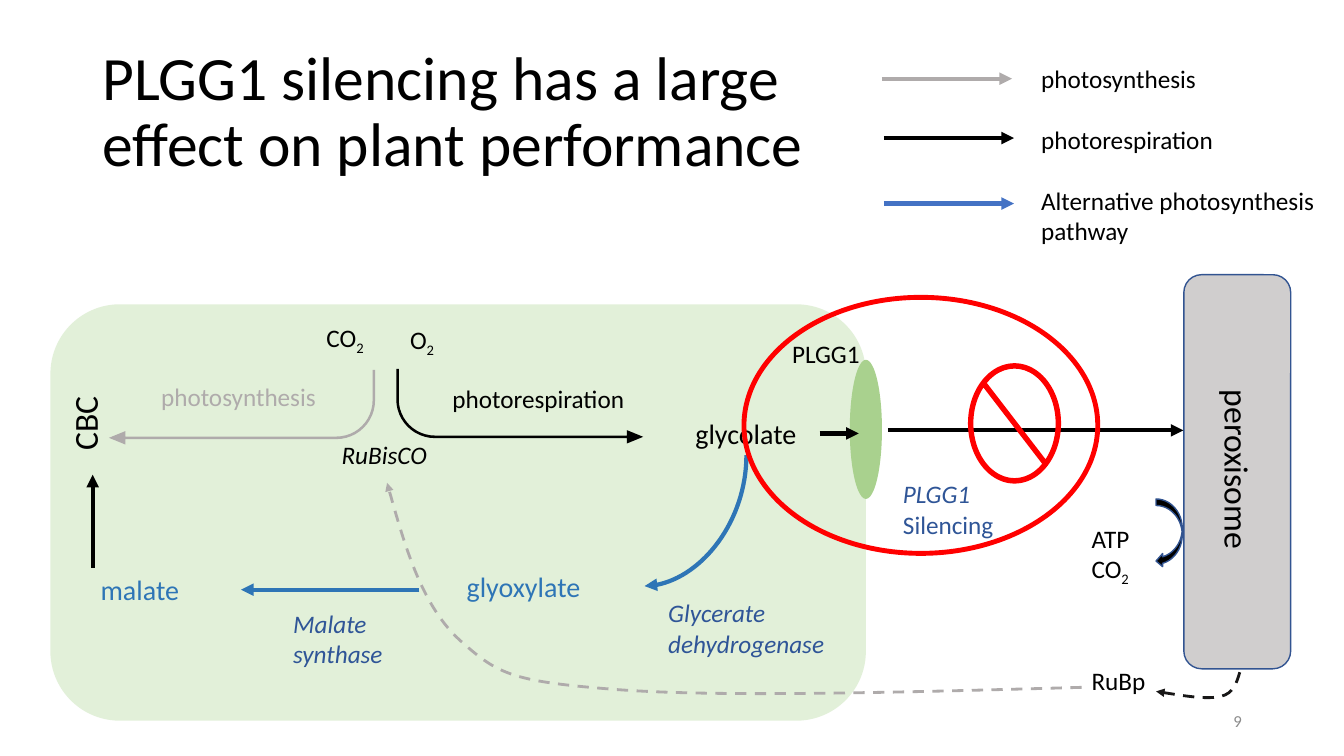
from dataclasses import dataclass

from lxml.etree import SubElement
from pptx import Presentation
from pptx.dml.color import RGBColor
from pptx.enum.dml import MSO_LINE
from pptx.enum.shapes import MSO_CONNECTOR as Connector, MSO_SHAPE as Preset
from pptx.enum.text import MSO_ANCHOR, MSO_AUTO_SIZE, PP_ALIGN
from pptx.oxml.ns import qn
from pptx.util import Pt

BLACK = RGBColor(0x00, 0x00, 0x00)
GRAY = RGBColor(0xAF, 0xAB, 0xAB)
PAGE_GRAY = RGBColor(0x8C, 0x8C, 0x8C)
CHARCOAL = RGBColor(0x18, 0x17, 0x17)
BLUE = RGBColor(0x2E, 0x75, 0xB6)
NAVY = RGBColor(0x2F, 0x55, 0x97)
OUTLINE_BLUE = RGBColor(0x32, 0x54, 0x91)
LEGEND_BLUE = RGBColor(0x44, 0x72, 0xC4)
PALE_GREEN = RGBColor(0xE2, 0xF0, 0xD9)
GREEN = RGBColor(0xA9, 0xD1, 0x8E)
SILVER = RGBColor(0xD0, 0xCE, 0xCE)
RED = RGBColor(0xFF, 0x00, 0x00)

Point = tuple[float, float]
Box = tuple[float, float, float, float]


@dataclass
class Figure:
    preset: Preset
    box: Box
    fill: RGBColor | None = None
    outline: RGBColor | None = None
    outline_width: float = 1
    rotation: float = 0
    adjustments: tuple[float, ...] = ()
    mirrored: bool = False


@dataclass
class Label:
    text: str
    box: Box
    size: float = 18
    color: RGBColor = BLACK
    italic_lines: int = 0
    subscript: str = ""
    rotation: float = 0
    wrap: bool = False


@dataclass
class Arrow:
    start: Point
    end: Point
    color: RGBColor = BLACK


@dataclass
class DashedCurve:
    start: Point
    controls: list[Point]
    color: RGBColor


@dataclass
class LegendRow:
    text: str
    color: RGBColor
    arrow_start: Point
    label_top: float
    label_size: Point


BENT = (0.034, 0.09, 0.22, 0.519)
LEGEND_ARROW_LENGTH = 92.9
LEGEND_LABEL_LEFT = 736.6

COMPARTMENTS = [
    Figure(Preset.ROUNDED_RECTANGLE, (36, 217.4, 582.5, 297.4), PALE_GREEN),
    Figure(Preset.ROUNDED_RECTANGLE, (743, 298.8, 281.5, 76.3), SILVER, OUTLINE_BLUE, rotation=90),
    Figure(Preset.BENT_ARROW, (77.8, 264.2, 190.1, 53.3), GRAY, rotation=180, adjustments=BENT),
    Figure(Preset.BENT_ARROW, (283, 263.5, 176.4, 53.3), BLACK, rotation=180, adjustments=BENT,
           mirrored=True),
    Figure(Preset.OVAL, (568.8, 295.2, 99.4, 23), GREEN, rotation=270),
    Figure(Preset.CURVED_LEFT_ARROW, (825.8, 356.4, 18.7, 49), BLACK, OUTLINE_BLUE),
]

SILENCING_MARKS = [
    Figure(Preset.NO_SYMBOL, (691.9, 259.9, 65.5, 85), RED, RED, adjustments=(0.044,)),
    Figure(Preset.OVAL, (531.4, 212.4, 252.7, 182.9), None, RED, 3.5),
]

LABELS = [
    Label("glyoxylate", (326.2, 403.2, 135.4, 31.7), 20, BLUE, wrap=True),
    Label("malate", (64.8, 405.4, 107.3, 31.7), 20, BLUE, wrap=True),
    Label("glycolate", (489.6, 293.8, 87.1, 31.7), 20),
    Label("PLGG1\nSilencing", (637.9, 338.4, 79.9, 51.1), color=NAVY, italic_lines=1),
    Label("Glycerate\ndehydrogenase", (470.2, 423.4, 127.4, 51.1), color=NAVY, italic_lines=2),
    Label("Malate\nsynthase", (202.3, 430.6, 79.2, 51.1), color=NAVY, italic_lines=2),
    Label("peroxisome", (819.4, 318.2, 129.6, 36), 24, rotation=90),
    Label("CBC", (33.8, 284.4, 53.3, 36), 24, rotation=270),
    Label("photosynthesis", (108, 268.6, 126, 28.8), color=GRAY),
    Label("photorespiration", (316.1, 270, 139, 28.8)),
    Label("CO", (226.1, 226.8, 42.5, 28.8), subscript="2"),
    Label("O", (285.8, 228.2, 32.4, 28.8), subscript="2"),
    Label("RuBisCO", (236.9, 310.3, 76.3, 28.8), italic_lines=1),
    Label("RuBp", (772.6, 471.6, 53.3, 28.8)),
    Label("PLGG1", (558.7, 238.3, 63.4, 28.8)),
    Label("ATP\nCO", (772.6, 370.1, 42.5, 51.1), subscript="2"),
]

ARROWS = [
    Arrow((634.3, 307.4), (845.3, 307.4)),
    Arrow((585.4, 309.6), (613.4, 309.6)),
    Arrow((299.5, 421.2), (172.1, 421.2), BLUE),
    Arrow((66.2, 405.4), (66.2, 339.1)),
]

DASHED_CURVES = [
    DashedCurve((772.6, 491), [
        (643, 494.6), (513.4, 498.2), (439.2, 492.5),
        (365, 486.7), (355.7, 481.7), (328.3, 457.2),
        (301.7, 432.7), (288.7, 388.8), (276.5, 344.9)], GRAY),
    DashedCurve((885.6, 480.2), [
        (883.4, 487.4), (881.3, 495.4), (871.9, 497.5),
        (861.8, 499.7), (843.8, 496.8), (825.8, 493.9)], CHARCOAL),
]

LEGEND = [
    LegendRow("photosynthesis", GRAY, (630, 56.2), 41.8, (126, 28.8)),
    LegendRow("photorespiration", BLACK, (631.4, 98.6), 85, (139, 28.8)),
    LegendRow("Alternative photosynthesis pathway", LEGEND_BLUE, (631.4, 145.4), 128.9,
              (223.2, 51.1)),
]


def draw_figure(slide, figure: Figure) -> None:
    shape = slide.shapes.add_shape(figure.preset, *map(Pt, figure.box))
    shape.shadow.inherit = False
    shape.rotation = figure.rotation
    for index, value in enumerate(figure.adjustments):
        shape.adjustments[index] = value
    if figure.mirrored:
        shape.element.spPr.find(qn("a:xfrm")).set("flipH", "1")
    if figure.fill is None:
        shape.fill.background()
    else:
        shape.fill.solid()
        shape.fill.fore_color.rgb = figure.fill
    if figure.outline is None:
        shape.line.fill.background()
    else:
        shape.line.color.rgb = figure.outline
        shape.line.width = Pt(figure.outline_width)


def draw_label(slide, label: Label):
    shape = slide.shapes.add_textbox(*map(Pt, label.box))
    shape.rotation = label.rotation
    text_frame = shape.text_frame
    text_frame.word_wrap = label.wrap
    text_frame.auto_size = MSO_AUTO_SIZE.SHAPE_TO_FIT_TEXT
    text_frame.text = label.text
    if label.subscript:
        text_frame.paragraphs[-1].add_run().text = label.subscript
    for index, paragraph in enumerate(text_frame.paragraphs):
        for run in paragraph.runs:
            run.font.name = "Calibri"
            run.font.size = Pt(label.size)
            run.font.color.rgb = label.color
            run.font.italic = index < label.italic_lines
    if label.subscript:
        list(shape.element.iter(qn("a:rPr")))[-1].set("baseline", "-25000")
    return shape


def style_arrow(shape, color: RGBColor, width: float) -> None:
    shape.line.color.rgb = color
    shape.line.width = Pt(width)
    SubElement(shape.element.spPr.find(qn("a:ln")), qn("a:tailEnd"), type="triangle")


def draw_arrow(slide, arrow: Arrow, kind: Connector = Connector.STRAIGHT):
    connector = slide.shapes.add_connector(kind, *map(Pt, arrow.start + arrow.end))
    style_arrow(connector, arrow.color, 3)
    SubElement(connector.element.spPr, qn("a:effectLst"))
    return connector


def draw_glycolate_arrow(slide) -> None:
    connector = draw_arrow(slide, Arrow((450, 335.5), (543.6, 408.2), BLUE), Connector.CURVE)
    connector.element.spPr.find(qn("a:xfrm")).set("rot", "5400000")
    connector.element.spPr.find(qn("a:prstGeom")).set("prst", "curvedConnector2")


def draw_dashed_curve(slide, curve: DashedCurve) -> None:
    builder = slide.shapes.build_freeform(*map(Pt, curve.start))
    builder.add_line_segments([(Pt(x), Pt(y)) for x, y in curve.controls], close=False)
    shape = builder.convert_to_shape()
    outline = next(shape.element.iter(qn("a:path")))
    segments = outline.findall(qn("a:lnTo"))
    for first in range(0, len(segments), 3):
        bezier = SubElement(outline, qn("a:cubicBezTo"))
        for segment in segments[first:first + 3]:
            bezier.append(segment[0])
            outline.remove(segment)
    shape.shadow.inherit = False
    shape.fill.background()
    shape.line.dash_style = MSO_LINE.DASH
    style_arrow(shape, curve.color, 2)


def draw_legend_row(slide, row: LegendRow) -> None:
    x, y = row.arrow_start
    draw_arrow(slide, Arrow((x, y), (x + LEGEND_ARROW_LENGTH, y), row.color))
    draw_label(slide, Label(row.text, (LEGEND_LABEL_LEFT, row.label_top, *row.label_size), wrap=True))


def draw_heading_and_number(slide) -> None:
    title = draw_label(slide, Label("PLGG1 silencing has a large effect on plant performance",
                                    (66.2, 28.8, 531.4, 104.4), 44, wrap=True))
    title.text_frame.paragraphs[0].line_spacing = 0.9
    number = draw_label(slide, Label("9", (678.2, 500.4, 216, 28.8), 12, PAGE_GRAY, wrap=True))
    number.text_frame.paragraphs[0].alignment = PP_ALIGN.RIGHT
    for shape in (title, number):
        shape.text_frame.auto_size = MSO_AUTO_SIZE.NONE
        shape.text_frame.vertical_anchor = MSO_ANCHOR.MIDDLE


def main() -> None:
    presentation = Presentation()
    presentation.slide_width, presentation.slide_height = Pt(960), Pt(540)
    slide = presentation.slides.add_slide(presentation.slide_layouts[6])
    for figure in COMPARTMENTS:
        draw_figure(slide, figure)
    for label in LABELS:
        draw_label(slide, label)
    for arrow in ARROWS:
        draw_arrow(slide, arrow)
    draw_glycolate_arrow(slide)
    for curve in DASHED_CURVES:
        draw_dashed_curve(slide, curve)
    for row in LEGEND:
        draw_legend_row(slide, row)
    draw_heading_and_number(slide)
    for mark in SILENCING_MARKS:
        draw_figure(slide, mark)
    presentation.save("out.pptx")


if __name__ == "__main__":
    main()
